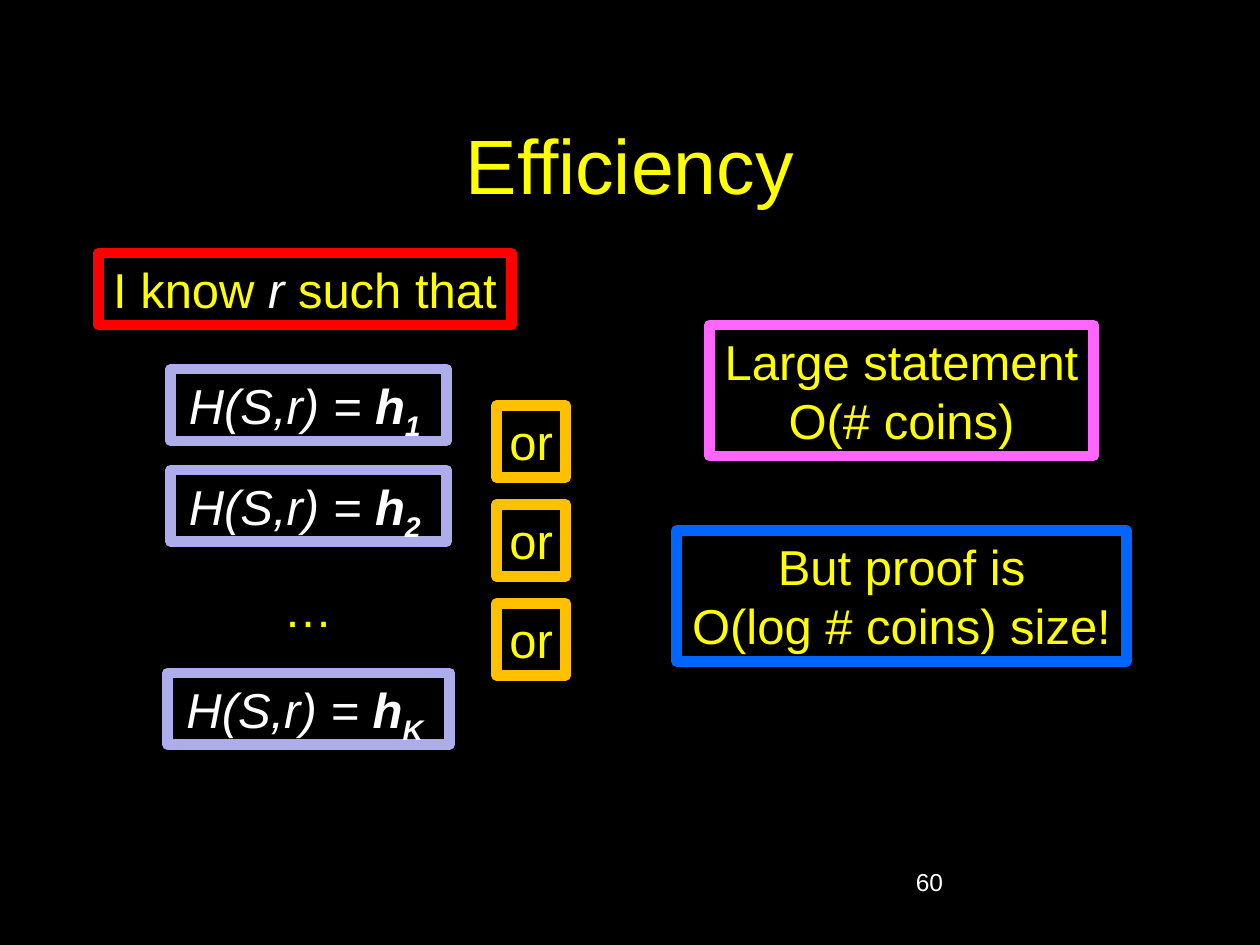
from pptx import Presentation
from pptx.dml.color import RGBColor
from pptx.enum.shapes import MSO_SHAPE
from pptx.enum.text import MSO_ANCHOR, MSO_AUTO_SIZE, PP_ALIGN
from pptx.util import Inches, Pt

COLORS = {
    "black": "000000", "white": "FFFFFF", "yellow": "FFFF00",
    "red": "FF0000", "orange": "FFC000", "lilac": "ADADEB",
    "pink": "FF66FF", "blue": "0066FF",
}


def color(name):
    return RGBColor.from_string(COLORS[name])


class Board:
    """Holds the text style and the current slide."""
    font = "Arial"
    size = 28
    edge = 6

    def __init__(self, slide):
        self.slide = slide
        fill = slide.background.fill
        fill.solid()
        fill.fore_color.rgb = color("black")

    def style(self, run, ink="yellow", size=None, bold=False, italic=False, sub=False):
        font = run.font
        font.name = self.font
        font.size = Pt(size or self.size)
        font.color.rgb = color(ink)
        font.bold, font.italic = bold, italic
        if sub:
            font._element.set("baseline", "-25000")

    def label(self, spot, text, ink, size, align, anchor):
        area = self.slide.shapes.add_textbox(*map(Inches, spot))
        frame = area.text_frame
        frame.word_wrap = True
        frame.vertical_anchor = anchor
        frame.text = text
        para = frame.paragraphs[0]
        para.alignment = align
        self.style(para.runs[0], ink, size)

    def box(self, spot, lines, line=None):
        """Each line is a list of (text, style) pairs."""
        shape = self.slide.shapes.add_shape(MSO_SHAPE.RECTANGLE, *map(Inches, spot))
        shape.shadow.inherit = False
        shape.fill.solid()
        shape.fill.fore_color.rgb = color("black")
        if line:
            shape.line.color.rgb = color(line)
            shape.line.width = Pt(self.edge)
        else:
            shape.line.fill.background()
        frame = shape.text_frame
        frame.word_wrap = False
        frame.auto_size = MSO_AUTO_SIZE.SHAPE_TO_FIT_TEXT
        frame.vertical_anchor = MSO_ANCHOR.TOP
        for i, parts in enumerate(lines):
            para = frame.add_paragraph() if i else frame.paragraphs[0]
            para.alignment = PP_ALIGN.CENTER
            for text, look in parts:
                run = para.add_run()
                run.text = text
                self.style(run, **look)


def main():
    deck = Presentation()
    deck.slide_width, deck.slide_height = Inches(10), Inches(7.5)
    board = Board(deck.slides.add_slide(deck.slide_layouts[6]))
    plain = {}
    math = {"ink": "white", "italic": True}
    hash_look = {**math, "bold": True}
    row = 0.57

    # Title and page number
    board.label((0.75, 0.67, 8.5, 1.25), "Efficiency", "yellow", 44,
                PP_ALIGN.CENTER, MSO_ANCHOR.MIDDLE)
    board.label((7.17, 6.83, 2.08, 0.5), "60", "white", 14,
                PP_ALIGN.LEFT, MSO_ANCHOR.TOP)

    # Claim
    board.box((0.78, 2.01, 3.28, row),
              [[("I know ", plain), ("r ", math), ("such that", plain)]], "red")

    # Hash equations, centred on one axis
    axis = 2.45
    for index, top, width in (("1", 2.93, 2.19), ("2", 3.73, 2.19), ("K", 5.34, 2.24)):
        board.box((axis - width / 2, top, width, row),
                  [[("H(S,r) = ", math), ("h", hash_look),
                    (index + " ", {**hash_look, "sub": True})]], "lilac")
    board.box((2.15, 4.54, 0.59, row), [[("…", plain)]])

    # Joining words at equal steps
    for i in range(3):
        board.box((3.94, 3.22 + 0.785 * i, 0.55, row), [[("or", plain)]], "orange")

    # Size remarks
    for spot, lines, line in (
        ((5.63, 2.58, 3.05, 1.04), ("Large statement", "O(# coins)"), "pink"),
        ((5.37, 4.21, 3.57, 1.04), ("But proof is", "O(log # coins) size!"), "blue"),
    ):
        board.box(spot, [[(text, plain)] for text in lines], line)

    deck.save("out.pptx")


if __name__ == "__main__":
    main()
